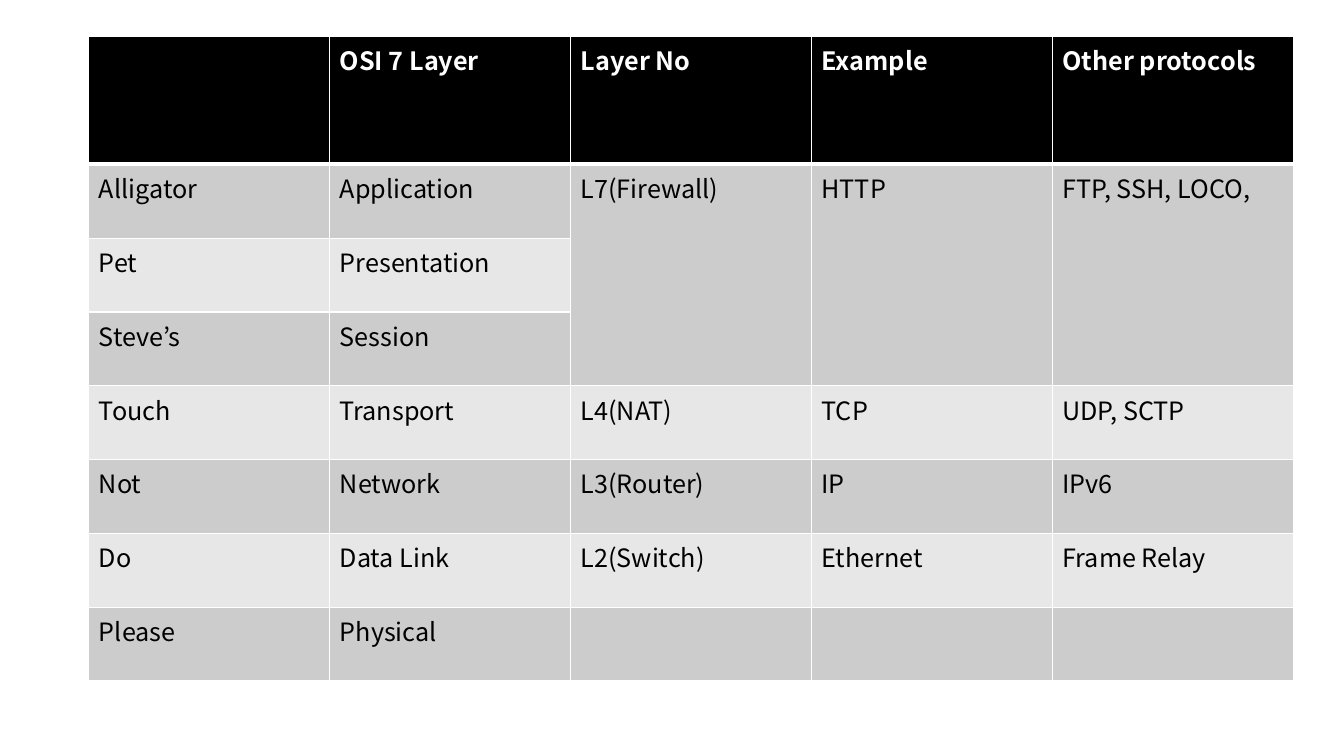
"""Build a one-slide table of the seven OSI layers with a mnemonic."""
from lxml.etree import SubElement
from pptx import Presentation
from pptx.dml.color import RGBColor
from pptx.oxml.ns import qn
from pptx.util import Cm, Pt

ROWS = [
    ["", "OSI 7 Layer", "Layer No", "Example", "Other protocols"],
    ["Alligator", "Application", "L7(Firewall)", "HTTP", "FTP, SSH, LOCO,"],
    ["Pet", "Presentation", "", "", ""],
    ["Steve’s", "Session", "", "", ""],
    ["Touch", "Transport", "L4(NAT)", "TCP", "UDP, SCTP"],
    ["Not", "Network", "L3(Router)", "IP", "IPv6"],
    ["Do", "Data Link", "L2(Switch)", "Ethernet", "Frame Relay"],
    ["Please", "Physical", "", "", ""],
]
HEADER_HEIGHT, ROW_HEIGHT, COLUMN_WIDTH = Cm(3.22), Cm(1.86), Cm(6.07)
BLACK, WHITE, BANDS = "000000", "FFFFFF", ("E7E7E7", "CCCCCC")
FONT = {"name": "Noto Sans CJK KR", "size": Pt(18)}


def paint(color_format, color):
    color_format.rgb = RGBColor.from_string(color)


def add_borders(cell, widths):
    properties = cell._tc.get_or_add_tcPr()
    for side, width in widths.items():
        line = SubElement(properties, qn(f"a:ln{side}"), w=str(Pt(width)))
        fill = SubElement(line, qn("a:solidFill"))
        SubElement(fill, qn("a:srgbClr"), val=WHITE)


deck = Presentation()
deck.slide_width, deck.slide_height = Cm(33.87), Cm(19.05)
page = deck.slides.add_slide(deck.slide_layouts[6])

column_count = len(ROWS[0])
table = page.shapes.add_table(
    len(ROWS), column_count, Cm(2.24), Cm(0.92),
    COLUMN_WIDTH * column_count, HEADER_HEIGHT + ROW_HEIGHT * (len(ROWS) - 1),
).table
for column in table.columns:
    column.width = COLUMN_WIDTH

for row_no, texts in enumerate(ROWS):
    header = row_no == 0
    table.rows[row_no].height = HEADER_HEIGHT if header else ROW_HEIGHT
    widths = {"L": 1, "R": 1, "T": 3 if row_no == 1 else 1, "B": 3 if header else 1}
    for column_no, text in enumerate(texts):
        cell = table.cell(row_no, column_no)
        add_borders(cell, widths)
        cell.fill.solid()
        paint(cell.fill.fore_color, BLACK if header else BANDS[row_no % 2])
        para = cell.text_frame.paragraphs[0]
        para.text = text
        for name, value in {**FONT, "bold": header}.items():
            setattr(para.font, name, value)
            for span in para.runs:
                setattr(span.font, name, value)
        for span in para.runs:
            paint(span.font.color, WHITE if header else BLACK)

for column_no in range(2, column_count):
    table.cell(1, column_no).merge(table.cell(3, column_no))

deck.save("out.pptx")
